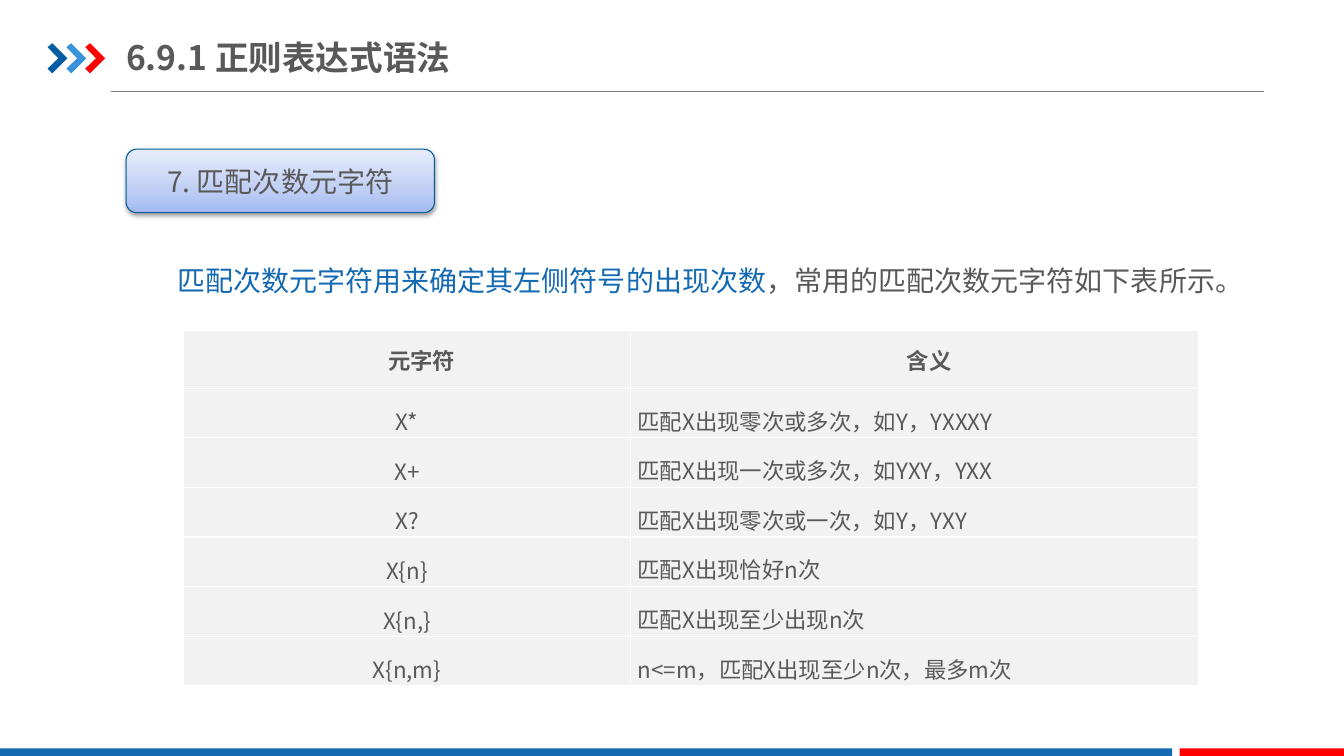
from dataclasses import dataclass

from lxml import etree
from pptx import Presentation
from pptx.dml.color import RGBColor
from pptx.enum.shapes import MSO_CONNECTOR, MSO_SHAPE
from pptx.enum.text import MSO_ANCHOR, PP_ALIGN
from pptx.oxml.ns import qn
from pptx.util import Cm, Pt

LEFT, CENTER = PP_ALIGN.LEFT, PP_ALIGN.CENTER
TOP, MIDDLE = MSO_ANCHOR.TOP, MSO_ANCHOR.MIDDLE
RECTANGLE, ROUNDED = MSO_SHAPE.RECTANGLE, MSO_SHAPE.ROUNDED_RECTANGLE
STRAIGHT = MSO_CONNECTOR.STRAIGHT

FONT = "Noto Sans CJK SC"
GREY, BLUE, RED = "595959", "1369B2", "FF0000"


@dataclass
class Run:
    text: str
    size: int
    color: str = GREY
    bold: bool = False


@dataclass
class Bar:
    left: float
    width: float
    color: str


BARS = [Bar(0, 29.54, BLUE), Bar(29.73, 4.14, RED)]
CHEVRON_COLORS = ["005DA2", "3992DB", RED]
CHEVRON_POINTS = [(0, 0.1), (0.12, 0), (0.5, 0.38), (0.12, 0.76), (0, 0.64), (0.27, 0.38)]
BUTTON_STOPS = [(0, "A2BAF2"), (35, "BFCEF4"), (100, "E6ECFC")]
TABLE_ROWS = [
    ("元字符", "含义"),
    ("X*", "匹配X出现零次或多次，如Y，YXXXY"),
    ("X+", "匹配X出现一次或多次，如YXY，YXX"),
    ("X?", "匹配X出现零次或一次，如Y，YXY"),
    ("X{n}", "匹配X出现恰好n次"),
    ("X{n,}", "匹配X出现至少出现n次"),
    ("X{n,m}", "n<=m，匹配X出现至少n次，最多m次"),
]
COLUMN_WIDTHS = [11.25, 14.33]
HEADER_HEIGHT, ROW_HEIGHT = 1.45, 1.25


def rgb(color: str) -> RGBColor:
    return RGBColor.from_string(color)


def apply_format(target, values: dict) -> None:
    for name, value in values.items():
        setattr(target, name, value)


def add_xml(parent, tag: str, **attributes):
    return etree.SubElement(parent, qn(tag), attributes)


def write_runs(paragraph, runs: list[Run], **paragraph_format) -> None:
    apply_format(paragraph, paragraph_format)
    for item in runs:
        run = paragraph.add_run()
        run.text = item.text
        apply_format(run.font, {"size": Pt(item.size), "bold": item.bold, "name": FONT})
        run.font.color.rgb = rgb(item.color)
        add_xml(run.font._element, "a:ea", typeface=FONT)


def paint(shape, color: str) -> None:
    shape.shadow.inherit = False
    shape.fill.solid()
    shape.fill.fore_color.rgb = rgb(color)
    shape.line.fill.background()


def add_decoration(slide) -> None:
    rule = slide.shapes.add_connector(STRAIGHT, Cm(2.8), Cm(2.31), Cm(31.86), Cm(2.31))
    rule.line.color.rgb = rgb("808080")
    rule.line.width = Pt(0.75)
    add_xml(rule._element.spPr, "a:effectLst")

    for index, color in enumerate(CHEVRON_COLORS):
        left, top = 1.2 + 0.475 * index, 1.09
        points = [(Cm(left + x), Cm(top + y)) for x, y in CHEVRON_POINTS]
        builder = slide.shapes.build_freeform(*points[0])
        builder.add_line_segments(points[1:], close=True)
        paint(builder.convert_to_shape(), color)

    for bar in BARS:
        shape = slide.shapes.add_shape(RECTANGLE, Cm(bar.left), Cm(18.86), Cm(bar.width), Cm(0.22))
        paint(shape, bar.color)


def add_title(slide) -> None:
    title = slide.shapes.title
    apply_format(title, {"left": Cm(3.18), "top": Cm(0.74), "width": Cm(10.82), "height": Cm(1.4)})
    apply_format(title.text_frame, {
        "margin_left": 0, "margin_right": 0, "vertical_anchor": MIDDLE, "word_wrap": True})
    write_runs(title.text_frame.paragraphs[0], [Run("6.9.1 正则表达式语法", 24, bold=True)], alignment=LEFT)


def add_button(slide) -> None:
    button = slide.shapes.add_shape(ROUNDED, Cm(3.18), Cm(3.76), Cm(7.77), Cm(1.6))
    button.line.color.rgb = rgb("005B9E")
    button.line.width = Pt(0.75)

    # Gradient running upwards
    button.fill.gradient()
    button.fill.gradient_angle = 90
    properties = button._element.spPr
    stops = properties.find(qn("a:gradFill")).find(qn("a:gsLst"))
    stops.clear()
    for position, color in BUTTON_STOPS:
        stop = add_xml(stops, "a:gs", pos=str(position * 1000))
        add_xml(stop, "a:srgbClr", val=color)

    # Soft shadow below
    button.shadow.inherit = False
    shadow = add_xml(properties.find(qn("a:effectLst")), "a:outerShdw",
                     blurRad="40000", dist="20000", dir="5400000", rotWithShape="0")
    add_xml(add_xml(shadow, "a:srgbClr", val="000000"), "a:alpha", val="38000")

    button.text_frame.vertical_anchor = MIDDLE
    write_runs(button.text_frame.paragraphs[0], [Run("7. 匹配次数元字符", 20)], alignment=CENTER)


def add_sentence(slide) -> None:
    box = slide.shapes.add_textbox(Cm(4.22), Cm(6.1), Cm(27.74), Cm(1.52))
    box.text_frame.word_wrap = True
    runs = [Run("匹配次数元字符用来确定其左侧符号的出现次数", 20, BLUE),
            Run("，常用的匹配次数元字符如下表所示。", 20)]
    write_runs(box.text_frame.paragraphs[0], runs, line_spacing=1.5)


def format_cell(cell, anchor) -> None:
    apply_format(cell, {"margin_left": Cm(0.19), "margin_right": Cm(0.19),
                        "margin_top": 0, "margin_bottom": 0, "vertical_anchor": anchor})
    properties = cell._tc.get_or_add_tcPr()
    for side in ("a:lnL", "a:lnR", "a:lnT", "a:lnB"):
        border = add_xml(properties, side, w=str(Pt(1)))
        add_xml(add_xml(border, "a:solidFill"), "a:srgbClr", val="FFFFFF")
    cell.fill.solid()
    cell.fill.fore_color.rgb = rgb("F2F2F2")


def add_syntax_table(slide) -> None:
    height = HEADER_HEIGHT + ROW_HEIGHT * (len(TABLE_ROWS) - 1)
    frame = slide.shapes.add_table(len(TABLE_ROWS), len(COLUMN_WIDTHS), Cm(4.63), Cm(8.33),
                                   Cm(sum(COLUMN_WIDTHS)), Cm(height))
    table = frame.table
    apply_format(table, {"first_row": False, "horz_banding": False})
    for column, width in zip(table.columns, COLUMN_WIDTHS):
        column.width = Cm(width)

    for row_index, texts in enumerate(TABLE_ROWS):
        header = row_index == 0
        table.rows[row_index].height = Cm(HEADER_HEIGHT if header else ROW_HEIGHT)
        for column_index, text in enumerate(texts):
            cell = table.cell(row_index, column_index)
            centered = header or column_index == 0
            format_cell(cell, MIDDLE if centered else TOP)
            paragraph = cell.text_frame.paragraphs[0]
            write_runs(paragraph, [Run(text, 16, bold=header)],
                       alignment=CENTER if centered else LEFT,
                       line_spacing=1.0 if header else 1.5)
            if header:
                apply_indent = paragraph._p.get_or_add_pPr()
                apply_indent.set("indent", str(Cm(0.74)))


def main() -> None:
    presentation = Presentation()
    apply_format(presentation, {"slide_width": Cm(33.87), "slide_height": Cm(19.05)})
    slide = presentation.slides.add_slide(presentation.slide_layouts[5])
    add_decoration(slide)
    add_title(slide)
    add_sentence(slide)
    add_button(slide)
    add_syntax_table(slide)
    presentation.save("out.pptx")


if __name__ == "__main__":
    main()
